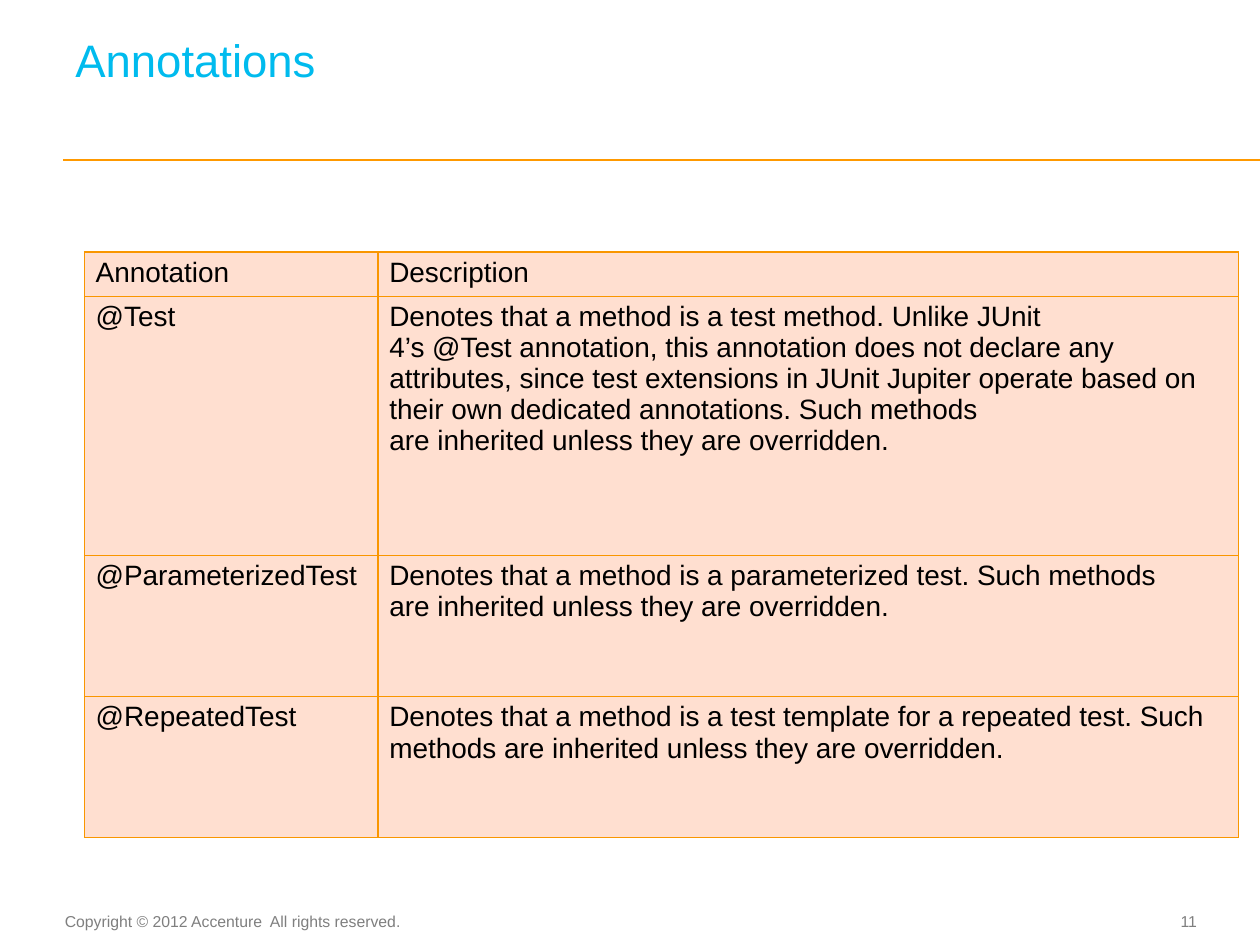
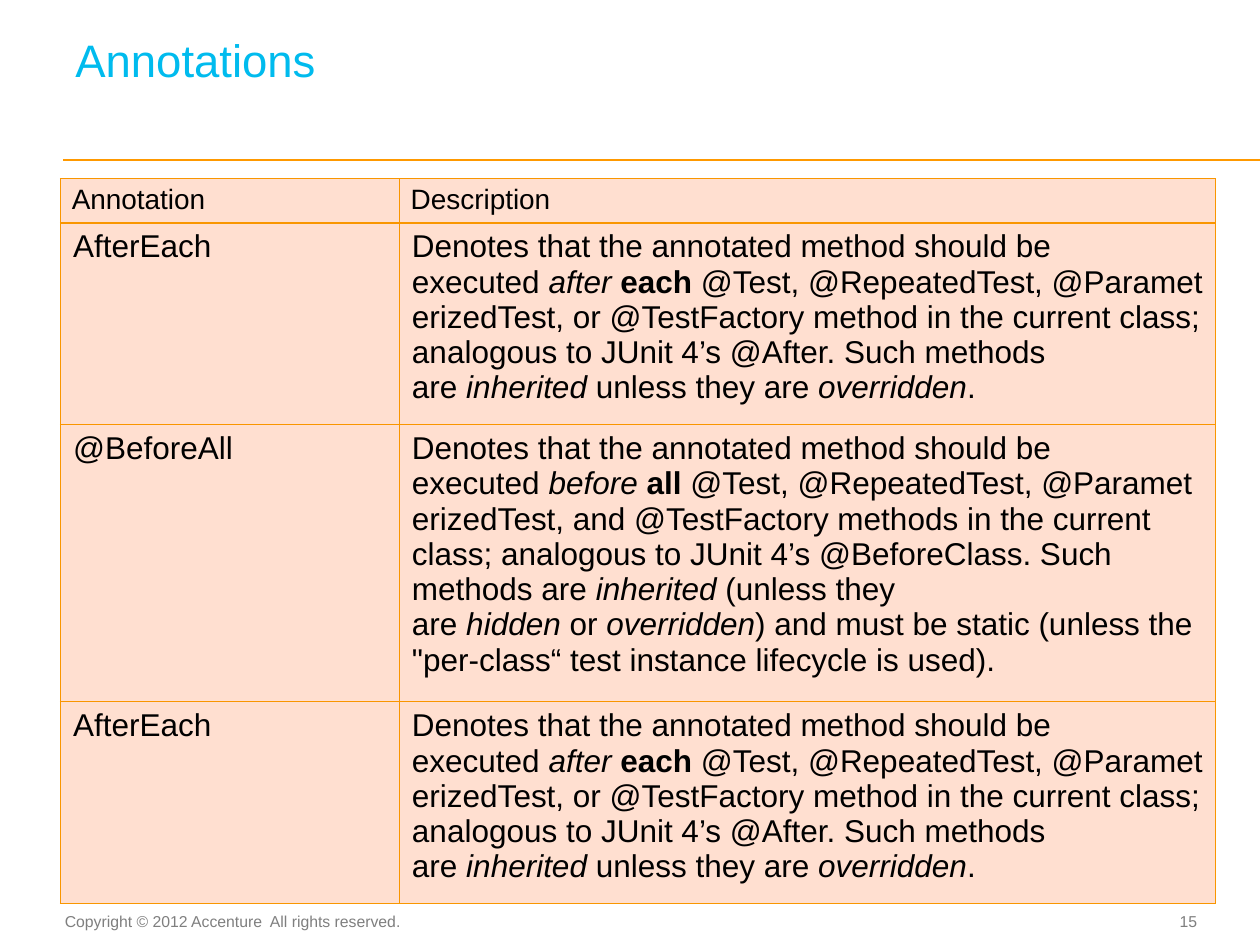
from lxml import etree
from pptx import Presentation
from pptx.dml.color import RGBColor
from pptx.enum.shapes import MSO_CONNECTOR
from pptx.enum.text import MSO_ANCHOR, PP_ALIGN
from pptx.oxml.ns import qn
from pptx.util import Inches, Pt

STRAIGHT = MSO_CONNECTOR.STRAIGHT
TOP, MIDDLE, BOTTOM = MSO_ANCHOR.TOP, MSO_ANCHOR.MIDDLE, MSO_ANCHOR.BOTTOM
LEFT, CENTER, RIGHT = PP_ALIGN.LEFT, PP_ALIGN.CENTER, PP_ALIGN.RIGHT

CYAN = RGBColor(0x00, 0xBB, 0xEE)
ORANGE = RGBColor(0xFF, 0x99, 0x00)
AMBER = RGBColor(0xF9, 0x96, 0x00)
PEACH = RGBColor(0xFF, 0xDF, 0xD0)
GRAY = RGBColor(0x7F, 0x7F, 0x7F)
BLACK = RGBColor(0x00, 0x00, 0x00)

FONT = "Arial"
HARD_SPACE = chr(160)
TIGHT = (0.09, 0.04)
LOOSE = (0.1, 0.05)
HEADER = ("Annotation", "Description")

# In cell text, ~ is a hard space, | parts runs, / leads italics and * leads bold.
BASIC = [
    ("@Test",
     "Denotes that a method is a test method. Unlike JUnit 4’s~@Test~annotation, "
     "this annotation does not declare any attributes, since test extensions in "
     "JUnit Jupiter operate based on their own dedicated annotations. Such methods "
     "are~inherited~unless they are~overridden."),
    ("@ParameterizedTest",
     "Denotes that a method is a~parameterized test. Such methods "
     "are~inherited~unless they are~overridden."),
    ("@RepeatedTest",
     "Denotes that a method is a test template for a~repeated test. Such methods "
     "are~inherited~unless they are~overridden."),
]
AFTER_EACH = (
    "AfterEach",
    "Denotes that the annotated method should be executed~|/after~|*each|"
    "~@Test,~@RepeatedTest,~@ParameterizedTest, or~@TestFactory~method in the "
    "current class; analogous to JUnit 4’s~@After. Such methods are~|/inherited|"
    "~unless they are~|/overridden|.")
BEFORE_ALL = (
    "@BeforeAll",
    "Denotes that the annotated method should be executed~|/before~|*all|"
    "~@Test,~@RepeatedTest,~@ParameterizedTest, and~@TestFactory~methods in the "
    "current class; analogous to JUnit 4’s~@BeforeClass. Such methods are~|"
    "/inherited|~(unless they are~|/hidden|~or~|/overridden|) and must "
    "be~static~(unless the \"per-class“ test instance lifecycle~is used).")


class Deck:
    def __init__(self):
        self.prs = Presentation()
        self.prs.slide_width = Inches(10)
        self.prs.slide_height = Inches(7.5)
        self.slide = None

    def start(self, title, number):
        self.slide = self.prs.slides.add_slide(self.prs.slide_layouts[6])
        self.rule(0.5, 10, 1.27)
        self.label("Copyright © 2012 Accenture  All rights reserved.",
                   (0.49, 7.19, 2.81, 0.25), 9, GRAY, CENTER, TOP,
                   (0, 0.05, 0.1, 0.05))
        self.label(str(number), (8.91, 7.18, 0.59, 0.27), 9, GRAY, RIGHT, MIDDLE)
        self.label(title, (0.5, 0.19, 8.97, 0.86), 26, CYAN, LEFT, BOTTOM,
                   (0.1, 0, 0, 0.36), Pt(26))

    def rule(self, left, right, top):
        line = self.slide.shapes.add_connector(
            STRAIGHT, Inches(left), Inches(top), Inches(right), Inches(top))
        line.line.color.rgb = ORANGE
        line.line.width = Pt(1)
        etree.SubElement(line._element.spPr, qn("a:effectLst"))

    def label(self, text, area, size, color, align, anchor,
              insets=(0, 0, 0, 0), spacing=None):
        box = self.slide.shapes.add_textbox(*map(Inches, area))
        frame = box.text_frame
        frame.word_wrap = True
        frame.vertical_anchor = anchor
        (frame.margin_left, frame.margin_top,
         frame.margin_right, frame.margin_bottom) = map(Inches, insets)
        frame.text = text
        para = frame.paragraphs[0]
        para.alignment = align
        if spacing:
            para.line_spacing = spacing
        self.style(para.runs[0], size, color)

    def style(self, run, size, color):
        run.font.name = FONT
        run.font.size = Pt(size)
        run.font.color.rgb = color

    def table(self, left, top, widths, heights, rows, size, insets):
        grid = self.slide.shapes.add_table(
            len(heights), len(widths), Inches(left), Inches(top),
            Inches(sum(widths)), Inches(sum(heights))).table
        grid.first_row = False
        grid.horz_banding = False
        for column, width in zip(grid.columns, widths):
            column.width = Inches(width)
        for row, height in zip(grid.rows, heights):
            row.height = Inches(height)
        for i, texts in enumerate([HEADER] + rows):
            for j, text in enumerate(texts):
                if i == 0:
                    self.cell(grid.cell(i, j), text, 16, TIGHT)
                else:
                    self.cell(grid.cell(i, j), text, size, insets)

    def cell(self, cell, text, size, insets):
        cell.margin_left = cell.margin_right = Inches(insets[0])
        cell.margin_top = cell.margin_bottom = Inches(insets[1])
        para = cell.text_frame.paragraphs[0]
        for part in text.replace("~", HARD_SPACE).split("|"):
            run = para.add_run()
            run.text = part.lstrip("/*")
            self.style(run, size, BLACK)
            run.font.italic = part.startswith("/")
            run.font.bold = part.startswith("*")
        self.border(cell)
        cell.fill.solid()
        cell.fill.fore_color.rgb = PEACH

    def border(self, cell):
        props = cell._tc.get_or_add_tcPr()
        for side in ("lnL", "lnR", "lnT", "lnB"):
            line = etree.SubElement(props, qn(f"a:{side}"), w=str(Pt(0.75)))
            fill = etree.SubElement(line, qn("a:solidFill"))
            etree.SubElement(fill, qn("a:srgbClr"), val=str(AMBER))


def main():
    deck = Deck()
    deck.start("Annotations", 11)
    deck.table(0.67, 2, (2.33, 6.83), (0.35, 2.06, 1.12, 1.12),
               BASIC, 16, TIGHT)
    deck.start("Annotations", 15)
    deck.table(0.48, 1.42, (2.69, 6.48), (0.35, 1.56, 2.06, 1.49),
               [AFTER_EACH, BEFORE_ALL, AFTER_EACH], 18, LOOSE)
    deck.prs.save("out.pptx")


if __name__ == "__main__":
    main()
